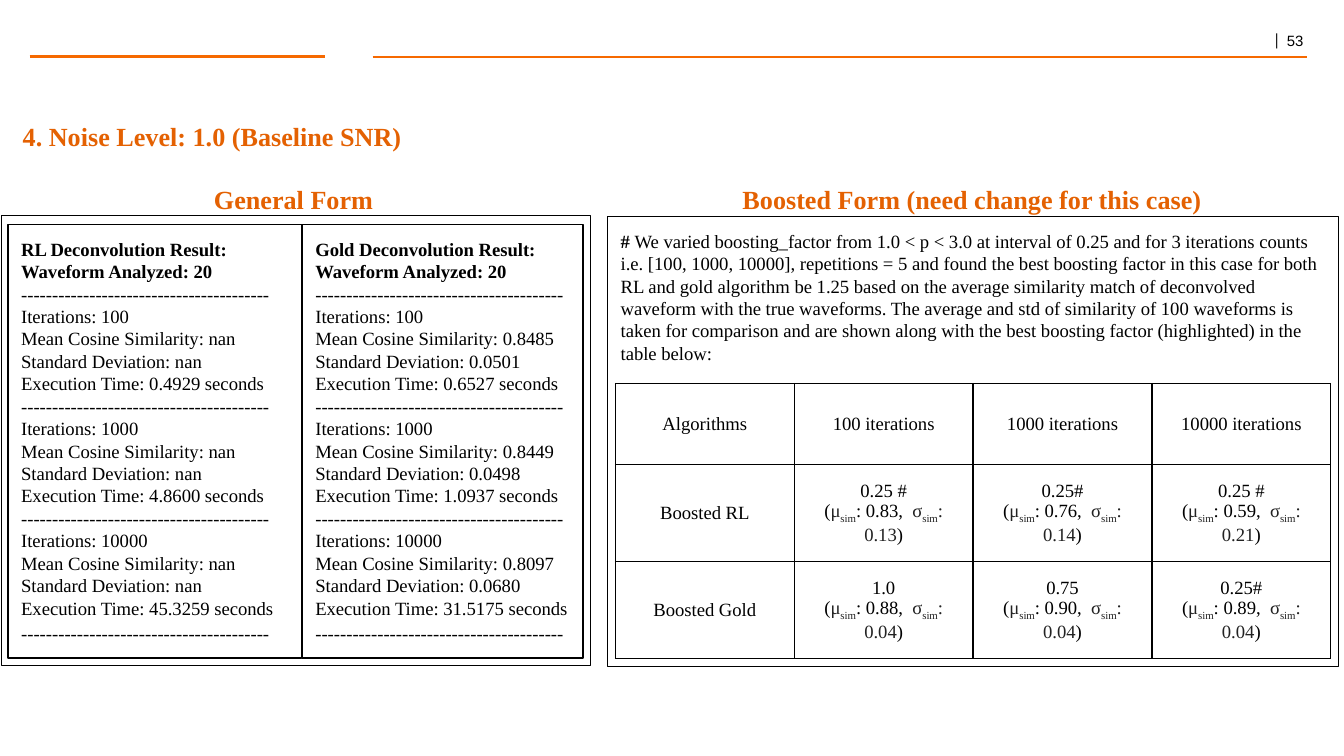
import dataclasses

import pptx
import pptx.dml.color
import pptx.enum.shapes
import pptx.enum.text
import pptx.oxml
import pptx.oxml.ns
import pptx.util

Cm = pptx.util.Cm
Pt = pptx.util.Pt
Align = pptx.enum.text.PP_ALIGN
Anchor = pptx.enum.text.MSO_ANCHOR
RGBColor = pptx.dml.color.RGBColor


@dataclasses.dataclass(frozen=True)
class Theme:
    black: str = "000000"
    symbol: str = "222222"
    heading: str = "E46102"
    rule: str = "F66900"
    font: str = "Times New Roman"
    body_size: float = 10
    heading_size: float = 14
    border: float = 0.75
    inset: float = 0.25


THEME = Theme()
DASHES = "-" * 40
ITERATIONS = (100, 1000, 10000)
# Mean similarity, standard deviation and seconds for each iteration count
RL_RUNS = (("nan", "nan", "0.4929"), ("nan", "nan", "4.8600"), ("nan", "nan", "45.3259"))
GOLD_RUNS = (
    ("0.8485", "0.0501", "0.6527"),
    ("0.8449", "0.0498", "1.0937"),
    ("0.8097", "0.0680", "31.5175"),
)
# Best boosting factor, mean and deviation for each iteration count
BOOSTED = (
    ("Boosted RL", (("0.25 #", "0.83", "0.13"), ("0.25#", "0.76", "0.14"), ("0.25 #", "0.59", "0.21"))),
    ("Boosted Gold", (("1.0", "0.88", "0.04"), ("0.75", "0.90", "0.04"), ("0.25#", "0.89", "0.04"))),
)
BOOSTED_NOTE = (
    "We varied boosting_factor from 1.0 < p < 3.0 at interval of 0.25 and for 3 iterations counts "
    "i.e. [100, 1000, 10000], repetitions = 5 and found the best boosting factor in this case for both "
    "RL and gold algorithm be 1.25 based on the average similarity match of deconvolved waveform with "
    "the true waveforms. The average and std of similarity of 100 waveforms is taken for comparison and "
    "are shown along with the best boosting factor (highlighted) in the table below:"
)


def style(font, size=THEME.body_size, color=THEME.black, bold=False, name=THEME.font):
    font.name = name
    font.size = Pt(size)
    font.bold = bold
    font.color.rgb = RGBColor.from_string(color)


def prepare_frame(frame, anchor=Anchor.TOP, side=THEME.inset, end=THEME.inset):
    frame.word_wrap = True
    frame.vertical_anchor = anchor
    frame.margin_left = frame.margin_right = Cm(side)
    frame.margin_top = frame.margin_bottom = Cm(end)


def add_rule(slide, start, stop, width):
    y = Cm(1.07)
    line = slide.shapes.add_connector(
        pptx.enum.shapes.MSO_CONNECTOR.STRAIGHT, Cm(start), y, Cm(stop), y)
    line.line.color.rgb = RGBColor.from_string(THEME.rule)
    line.line.width = Pt(width)
    line._element.spPr.append(pptx.oxml.parse_xml(
        f"<a:effectLst {pptx.oxml.ns.nsdecls('a')}/>"))


def add_page_number(slide, number):
    box = slide.shapes.add_textbox(Cm(23.9), Cm(0.53), Cm(1.5), Cm(0.51))
    prepare_frame(box.text_frame, side=0.18, end=0.1)
    paragraph = box.text_frame.paragraphs[0]
    paragraph.line_spacing = 0.8
    for text, size, name in (("|  ", 9, "Cambria"), (number, 8, "Arial")):
        run = paragraph.add_run()
        run.text = text
        style(run.font, size, name=name)


def add_heading(slide, text, left, top, width, align=Align.CENTER):
    box = slide.shapes.add_textbox(Cm(left), Cm(top), Cm(width), Cm(0.66))
    prepare_frame(box.text_frame, Anchor.MIDDLE)
    paragraph = box.text_frame.paragraphs[0]
    paragraph.text = text
    paragraph.alignment = align
    style(paragraph.font, THEME.heading_size, THEME.heading, True)


def add_frame(slide, left, top, width, height):
    shape = slide.shapes.add_shape(
        pptx.enum.shapes.MSO_SHAPE.RECTANGLE, Cm(left), Cm(top), Cm(width), Cm(height))
    shape.shadow.inherit = False
    shape.fill.background()
    shape.line.color.rgb = RGBColor.from_string(THEME.black)
    shape.line.width = Pt(THEME.border)
    prepare_frame(shape.text_frame)
    return shape


def add_results(slide, left, width, algorithm, runs):
    titles = [f"{algorithm} Deconvolution Result:", "Waveform Analyzed: 20"]
    lines = titles + [DASHES]
    for count, (mean, deviation, seconds) in zip(ITERATIONS, runs):
        lines += [
            f"Iterations: {count}",
            f"Mean Cosine Similarity: {mean}",
            f"Standard Deviation: {deviation}",
            f"Execution Time: {seconds} seconds",
            DASHES,
        ]
    frame = add_frame(slide, left, 4.24, width, 8.2).text_frame
    frame.text = "\n".join(lines)
    for index, paragraph in enumerate(frame.paragraphs):
        paragraph.alignment = Align.LEFT
        style(paragraph.font, bold=index < len(titles))
    frame.paragraphs[-1].line_spacing = 1.15


def add_boosted_note(slide):
    frame = add_frame(slide, 11.48, 4.09, 13.82, 8.51).text_frame
    paragraph = frame.paragraphs[0]
    paragraph.alignment = Align.LEFT
    for text, bold in (("# ", True), (BOOSTED_NOTE, False)):
        run = paragraph.add_run()
        run.text = text
        style(run.font, bold=bold)


def add_border(cell):
    properties = cell._tc.get_or_add_tcPr()
    for side in "LRTB":
        properties.append(pptx.oxml.parse_xml(
            f'<a:ln{side} {pptx.oxml.ns.nsdecls("a")} w="{Pt(THEME.border)}">'
            f'<a:solidFill><a:srgbClr val="{THEME.black}"/></a:solidFill></a:ln{side}>'))


def add_similarity(paragraph, mean, deviation):
    pieces = (
        ("(", THEME.black, False), ("μ", THEME.symbol, False), ("sim", THEME.symbol, True),
        (f": {mean},  ", THEME.black, False), ("σ", THEME.symbol, False),
        ("sim", THEME.symbol, True), (f": {deviation}", THEME.symbol, False),
        (")", THEME.black, False),
    )
    for text, color, subscript in pieces:
        run = paragraph.add_run()
        run.text = text
        style(run.font, color=color)
        if subscript:
            run._r.get_or_add_rPr().set("baseline", "-25000")


def fill_cell(cell, text, similarity=None):
    add_border(cell)
    cell.fill.background()
    cell.vertical_anchor = Anchor.MIDDLE
    cell.margin_left = cell.margin_right = Cm(THEME.inset)
    cell.margin_top = cell.margin_bottom = Cm(THEME.inset)
    frame = cell.text_frame
    frame.text = text
    if similarity:
        add_similarity(frame.add_paragraph(), *similarity)
    for paragraph in frame.paragraphs:
        paragraph.alignment = Align.CENTER
        style(paragraph.font)


def add_boosted_table(slide):
    heights = (1.53, 1.6, 1.6)
    column_width = 3.38
    columns = len(ITERATIONS) + 1
    table = slide.shapes.add_table(
        len(heights), columns, Cm(11.63), Cm(7.25),
        Cm(column_width * columns), Cm(sum(heights))).table
    table.first_row = table.horz_banding = False
    for column in table.columns:
        column.width = Cm(column_width)
    for row, height in zip(table.rows, heights):
        row.height = Cm(height)

    fill_cell(table.cell(0, 0), "Algorithms")
    for column, count in enumerate(ITERATIONS, 1):
        fill_cell(table.cell(0, column), f"{count} iterations")
    for row, (algorithm, results) in enumerate(BOOSTED, 1):
        fill_cell(table.cell(row, 0), algorithm)
        for column, (factor, *similarity) in enumerate(results, 1):
            fill_cell(table.cell(row, column), factor, similarity)


def main():
    presentation = pptx.Presentation()
    presentation.slide_width = Cm(25.4)
    presentation.slide_height = Cm(14.29)
    slide = presentation.slides.add_slide(presentation.slide_layouts[6])

    # Page header
    add_page_number(slide, "53")
    add_rule(slide, 0.56, 6.15, 2)
    add_rule(slide, 7.04, 24.71, 1)
    add_heading(slide, "4. Noise Level: 1.0 (Baseline SNR)", 0.18, 2.24, 10.74, Align.LEFT)

    # General form
    add_frame(slide, 0.03, 4.07, 11.13, 8.51)
    add_results(slide, 0.15, 5.55, "RL", RL_RUNS)
    add_results(slide, 5.71, 5.31, "Gold", GOLD_RUNS)
    add_heading(slide, "General Form", 0.18, 3.44, 10.74)

    # Boosted form
    add_heading(slide, "Boosted Form (need change for this case)", 13.69, 3.44, 9.37)
    add_boosted_note(slide)
    add_boosted_table(slide)

    presentation.save("out.pptx")


if __name__ == "__main__":
    main()
